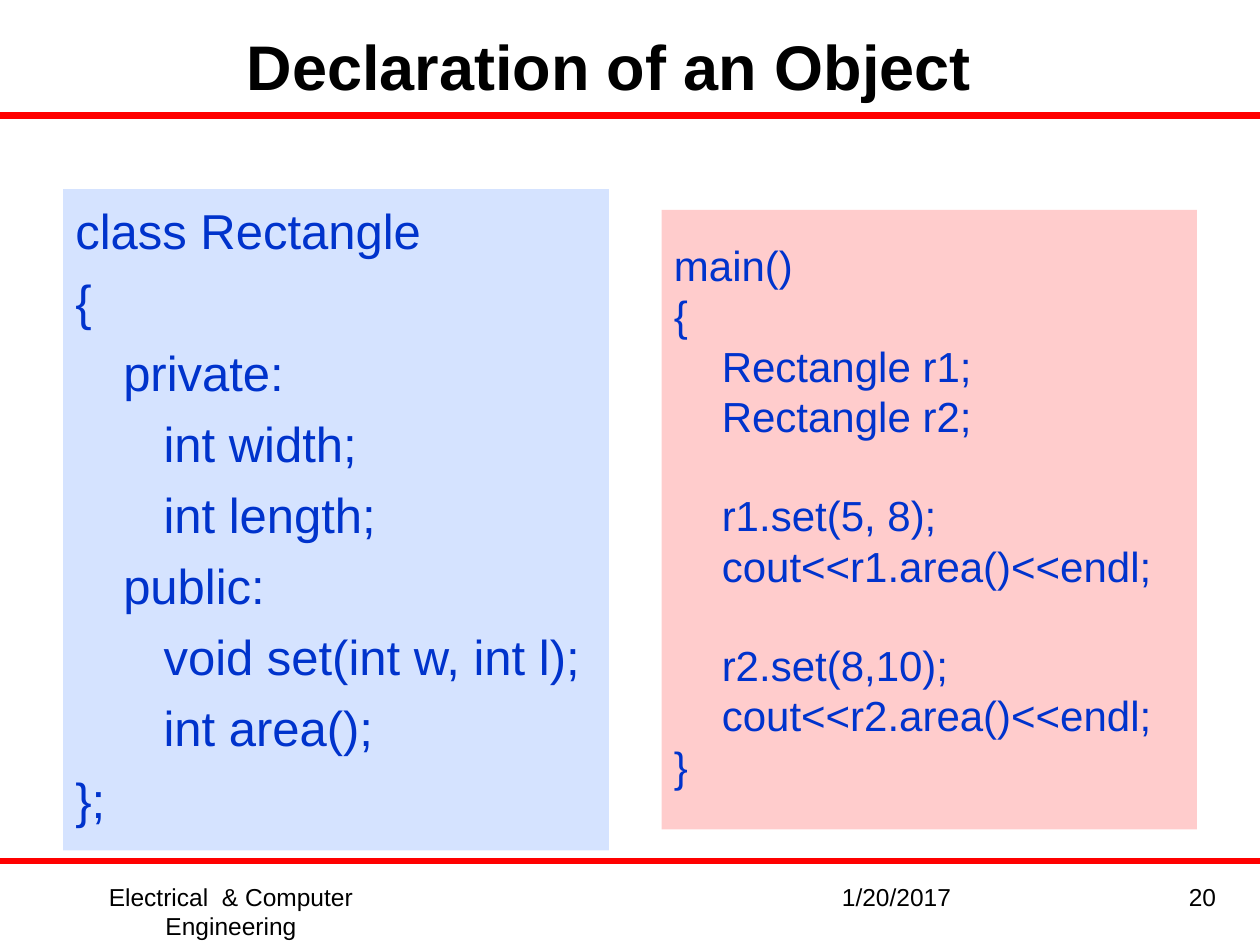
from pptx import Presentation
from pptx.dml.color import RGBColor
from pptx.enum.shapes import MSO_CONNECTOR, MSO_SHAPE
from pptx.enum.text import MSO_ANCHOR, PP_ALIGN
from pptx.oxml.ns import qn
from pptx.util import Inches, Pt
from lxml.etree import SubElement

CELL = 1 / 12
COLS, ROWS = 120, 90
STEPS = (0, 0.38, 0.7)


def grid(*cells):
    """Turn grid cells into lengths."""
    return [Inches(cell * CELL) for cell in cells]


def color(code):
    """Turn a hex string into a colour."""
    return RGBColor.from_string(code)


def assign(target, values):
    """Set each attribute named in a dict."""
    for name, value in values.items():
        setattr(target, name, value)


class Page:
    """Hold the style and the current slide."""

    font = "Arial"
    ink, code, rule = "000000", "0033CC", "FF0000"

    def __init__(self, deck):
        """Add a title-only slide."""
        self.slide = deck.slides.add_slide(deck.slide_layouts[5])

    def letter(self, para, text, size, tone, bold=False, **form):
        """Fill one paragraph with styled text."""
        run = para.add_run()
        run.text = text
        assign(run.font, {"name": self.font, "size": Pt(size), "bold": bold})
        run.font.color.rgb = color(tone)
        assign(para, form)

    def title(self, text, box):
        """Move and format the title placeholder."""
        shape = self.slide.shapes.title
        assign(shape, dict(zip(("left", "top", "width", "height"), grid(*box))))
        frame = shape.text_frame
        assign(frame, {"vertical_anchor": MSO_ANCHOR.MIDDLE, "word_wrap": True})
        self.letter(frame.paragraphs[0], text, 36, self.ink, True,
                    alignment=PP_ALIGN.CENTER)

    def line(self, row):
        """Draw a rule across the slide."""
        rule = self.slide.shapes.add_connector(
            MSO_CONNECTOR.STRAIGHT, *grid(0, row, COLS, row))
        rule.line.color.rgb = color(self.rule)
        rule.line.width = Pt(3.5)
        SubElement(rule._element.spPr, qn("a:effectLst"))

    def label(self, text, box, align):
        """Add a footer text."""
        frame = self.slide.shapes.add_textbox(*grid(*box)).text_frame
        frame.word_wrap = True
        self.letter(frame.paragraphs[0], text, 14, self.ink, alignment=align)

    def panel(self, lines, box, fill, size, top, gap, skip=0, lead=1.0):
        """Add a block of code; each line is (level, text, skip before)."""
        shape = self.slide.shapes.add_shape(MSO_SHAPE.RECTANGLE, *grid(*box))
        shape.shadow.inherit = False
        shape.fill.solid()
        shape.fill.fore_color.rgb = color(fill)
        shape.line.fill.background()
        frame = shape.text_frame
        assign(frame, {"word_wrap": True, "margin_top": Inches(top),
                       "vertical_anchor": MSO_ANCHOR.TOP})
        for i, (level, text, *wide) in enumerate(lines):
            para = frame.add_paragraph() if i else frame.paragraphs[0]
            space = (gap + (skip if wide else 0)) if i else 0
            self.letter(para, text, size, self.code, alignment=PP_ALIGN.LEFT,
                        space_before=Pt(space), line_spacing=lead)
            para._p.get_or_add_pPr().set("marL", str(Inches(STEPS[level])))


deck = Presentation()
deck.slide_width, deck.slide_height = grid(COLS, ROWS)
page = Page(deck)

for row in (11, 82):
    page.line(row)

page.title("Declaration of an Object", (4, 2, 108, 8.4))

page.panel([
    (0, "class Rectangle"),
    (0, "{"),
    (1, "private:"),
    (2, "int width;"),
    (2, "int length;"),
    (1, "public:"),
    (2, "void set(int w, int l);"),
    (2, "int area();"),
    (0, "};"),
], (6, 18, 52, 63), "D5E3FF", size=28, top=0.09, gap=7)

page.panel([
    (0, "main()"),
    (0, "{"),
    (1, "Rectangle r1;"),
    (1, "Rectangle r2;"),
    (1, "r1.set(5, 8);", True),
    (1, "cout<<r1.area()<<endl;"),
    (1, "r2.set(8,10);", True),
    (1, "cout<<r2.area()<<endl;"),
    (0, "}"),
], (63, 20, 51, 59), "FFCCCC", size=24, top=0.31, gap=5.8, skip=27.8, lead=0.8)

for text, col, wide, align in (
    ("Electrical  & Computer Engineering", 3, 38, PP_ALIGN.CENTER),
    ("1/20/2017", 79, 28, PP_ALIGN.LEFT),
    ("20", 110, 7, PP_ALIGN.RIGHT),
):
    page.label(text, (col, 83.4, wide, 6.2), align)

deck.save("out.pptx")
